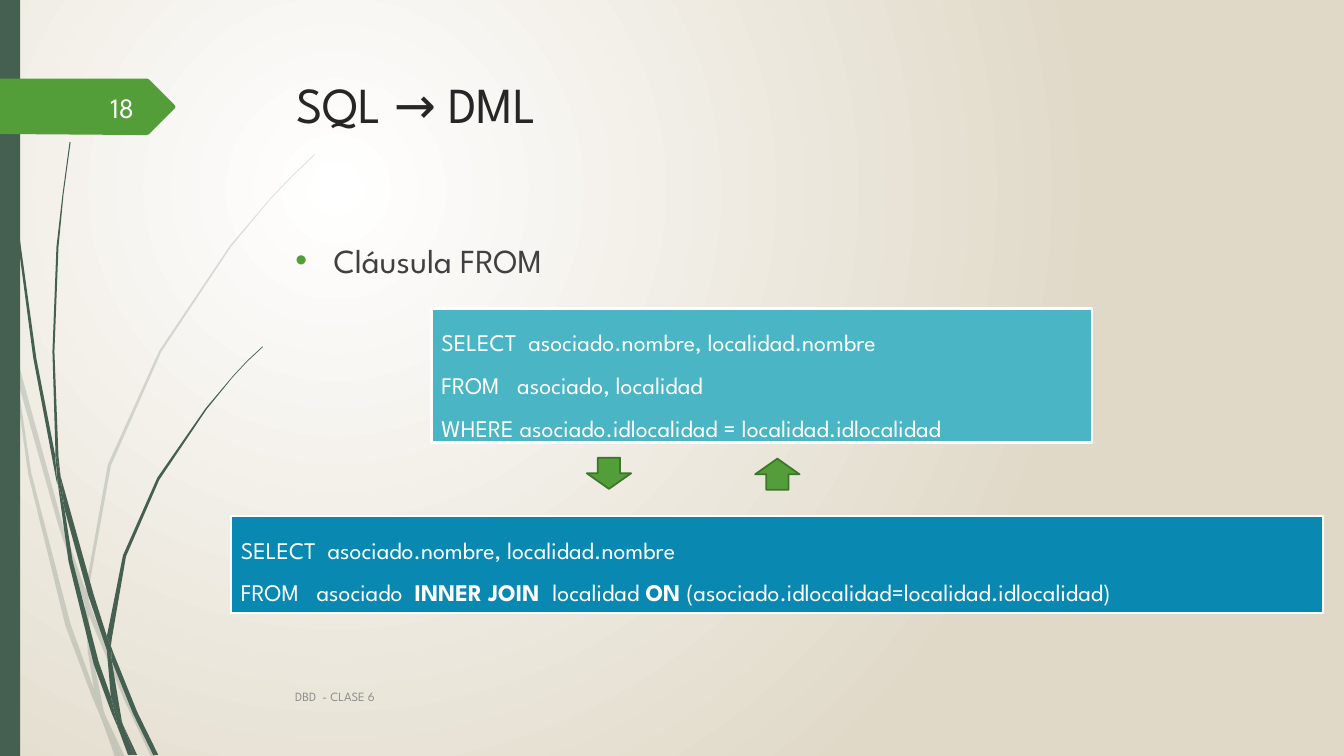
from collections import namedtuple
from pptx import Presentation
from pptx.dml.color import RGBColor
from pptx.enum.shapes import MSO_SHAPE
from pptx.enum.text import MSO_ANCHOR, MSO_AUTO_SIZE, PP_ALIGN
from pptx.oxml import parse_xml
from pptx.oxml.ns import nsdecls, qn
from pptx.util import Pt

PX = 9144  # EMU in one px, 100 px to the inch
Box = namedtuple("Box", "left top width height")


class Theme:
    font = "League Spartan"
    paper, sand = "FFFFFF", "E0D9C8"
    stalk, accent, accent_line = "455F51", "549E39", "3E752A"
    title, body, footer, number = "262626", "404040", "8C8C8C", "FEFFFF"
    teal, blue, white = "4AB5C4", "0989B1", "FFFFFF"
    title_size, body_size, number_size, code_size, footer_size = 36, 24, 20, 17, 9


FAINT_BLADES = [
    [(11, 350), (9, 322), (0, 282), (0, 299), (10, 344)],
    [(58, 522), (84, 599), (85, 586), (62, 520), (14, 345), (17, 376)],
    [(92, 607), (88, 596), (88, 610), (123, 694), (150, 751), (155, 751), (127, 692)],
    [(119, 751), (124, 751), (105, 711)],
    [(93, 683), (70, 619), (31, 469), (17, 376), (11, 350), (28, 470), (65, 621),
     (92, 693), (101, 714), (99, 707)],
    [(84, 599), (87, 646), (93, 683), (96, 692), (105, 711), (103, 706), (91, 646),
     (88, 610), (88, 608)],
    [(88, 584), (110, 462), (160, 349), (229, 245), (268, 198), (290, 175), (312, 154),
     (312, 153), (289, 175), (268, 197), (228, 244), (158, 348), (107, 461), (85, 584),
     (85, 586), (88, 596)],
    [(101, 714), (114, 751), (119, 751)],
    [(88, 608), (88, 610), (88, 596), (85, 586), (84, 599)],
    [(96, 692), (93, 683), (99, 707), (101, 714), (119, 751), (105, 711)],
]
DARK_BLADES = [
    [(7, 110), (17, 233), (33, 355), (56, 477), (57, 481), (55, 457), (55, 453),
     (36, 355), (19, 232), (8, 109), (5, 48), (4, 0), (3, 0), (4, 48)],
    [(88, 592), (106, 645), (106, 633), (106, 631), (93, 590), (60, 472), (64, 505)],
    [(113, 649), (110, 641), (111, 656), (132, 708), (152, 749), (157, 749), (136, 706)],
    [(110, 691), (98, 657), (72, 556), (64, 505), (57, 477), (68, 557), (93, 659),
     (111, 708), (117, 722), (116, 717)],
    [(60, 472), (58, 453), (54, 349), (58, 245), (63, 193), (70, 141), (69, 141),
     (62, 193), (56, 245), (52, 349), (55, 449)],
    [(133, 749), (136, 749), (122, 719)],
    [(57, 477), (64, 505), (60, 472), (55, 449), (55, 453)],
    [(111, 633), (125, 552), (158, 476), (205, 406), (231, 374), (245, 359), (261, 344),
     (260, 344), (245, 358), (231, 373), (204, 405), (156, 474), (122, 551), (106, 631),
     (110, 641)],
    [(117, 722), (127, 749), (131, 749)],
    [(106, 645), (110, 691), (116, 706), (122, 719), (121, 716), (111, 656), (109, 651)],
    [(106, 645), (109, 651), (111, 656), (110, 641), (106, 631), (106, 633)],
    [(116, 706), (110, 691), (116, 717), (117, 722), (130, 749), (133, 749), (122, 719)],
]
TAG_OUTLINE = [(173, 30), (148, 55), (146, 56), (136, 56), (0, 55), (0, 0), (146, 0),
               (148, 1), (173, 26), (174, 28)]


def color(value):
    return RGBColor.from_string(value)


def place(shape, box):
    shape.left, shape.top, shape.width, shape.height = (length * PX for length in box)


def paint(shape, fill, line=None, line_width=0):
    shape.shadow.inherit = False
    shape.fill.solid()
    shape.fill.fore_color.rgb = color(fill)
    if line:
        shape.line.color.rgb = color(line)
        shape.line.width = Pt(line_width)
    else:
        shape.line.fill.background()


def add_preset(slide, kind, box, fill, line=None, line_width=0):
    shape = slide.shapes.add_shape(kind, *(length * PX for length in box))
    paint(shape, fill, line, line_width)
    return shape


def add_outline(shapes, box, points, fill):
    (start_x, start_y), *rest = [(box.left + x, box.top + y) for x, y in points]
    builder = shapes.build_freeform(start_x, start_y, scale=float(PX))
    builder.add_line_segments(rest, close=True)
    shape = builder.convert_to_shape()
    paint(shape, fill)
    return shape


def format_runs(paragraph, size, ink, align=PP_ALIGN.LEFT):
    paragraph.alignment = align
    for run in paragraph.runs:
        run.font.name = Theme.font
        run.font.size = Pt(size)
        run.font.color.rgb = color(ink)


def set_background(slide):
    fill = slide.background.fill
    fill.gradient()
    for stop, value in zip(fill.gradient_stops, (Theme.paper, Theme.sand)):
        stop.color.rgb = color(value)
    gradient = next(slide.element.iter(qn("a:gradFill")))
    gradient.replace(gradient.find(qn("a:lin")), parse_xml(
        f'<a:path {nsdecls("a")} path="circle">'
        '<a:fillToRect l="50000" t="50000" r="100000" b="100000"/></a:path>'))


def draw_stalks(slide, box):
    for blades, opacity in ((FAINT_BLADES, 20), (DARK_BLADES, 100)):
        group = slide.shapes.add_group_shape()
        for points in blades:
            blade = add_outline(group.shapes, box, points, Theme.stalk)
            if opacity < 100:
                next(blade.element.iter(qn("a:srgbClr"))).append(
                    parse_xml(f'<a:alpha {nsdecls("a")} val="{opacity * 1000}"/>'))
    add_preset(slide, MSO_SHAPE.RECTANGLE, box._replace(width=20), Theme.stalk)


def add_label(slide, box, text, size, ink, align=PP_ALIGN.LEFT):
    label = slide.shapes.add_textbox(*(length * PX for length in box))
    frame = label.text_frame
    frame.word_wrap = True
    frame.vertical_anchor = MSO_ANCHOR.MIDDLE
    frame.text = text
    format_runs(frame.paragraphs[0], size, ink, align)


def draw_number_tag(slide, box, number):
    add_outline(slide.shapes, box, TAG_OUTLINE, Theme.accent)
    add_label(slide, Box(box.left + 58, box.top + 8, 85, 40), number,
              Theme.number_size, Theme.number, PP_ALIGN.RIGHT)


def fill_placeholder(shape, box, text, size, ink):
    """Moves the placeholder in front of the decoration and sets its text."""
    shape.element.getparent().append(shape.element)
    place(shape, box)
    frame = shape.text_frame
    frame.auto_size = MSO_AUTO_SIZE.NONE
    frame.vertical_anchor = MSO_ANCHOR.TOP
    frame.text = text
    paragraph = frame.paragraphs[0]
    format_runs(paragraph, size, ink)
    return paragraph


def add_bullet(paragraph, indent):
    paragraph.space_before = Pt(10)
    properties = paragraph._p.get_or_add_pPr()
    properties.set("marL", str(indent * PX))
    properties.set("indent", str(-indent * PX))
    for xml in (f'<a:buClr {nsdecls("a")}><a:srgbClr val="{Theme.accent}"/></a:buClr>',
                f'<a:buFont {nsdecls("a")} typeface="Arial"/>',
                f'<a:buChar {nsdecls("a")} char="•"/>'):
        properties.append(parse_xml(xml))


def draw_query(slide, box, fill, lines):
    """Each line is a tuple of pieces, plain and bold by turns."""
    panel = add_preset(slide, MSO_SHAPE.RECTANGLE, box, fill, Theme.white, 1.75)
    frame = panel.text_frame
    frame.word_wrap = True
    frame.auto_size = MSO_AUTO_SIZE.SHAPE_TO_FIT_TEXT
    frame.vertical_anchor = MSO_ANCHOR.TOP
    for index, pieces in enumerate(lines):
        paragraph = frame.add_paragraph() if index else frame.paragraphs[0]
        paragraph.line_spacing = 1.5
        for turn, piece in enumerate(pieces):
            run = paragraph.add_run()
            run.text = piece
            run.font.bold = turn % 2 == 1
        format_runs(paragraph, Theme.code_size, Theme.white)


def draw_equivalence(slide, box):
    select = ("SELECT  asociado.nombre, localidad.nombre",)
    draw_query(slide, Box(box.left + 199, box.top, 655, 133), Theme.teal, [
        select, ("FROM   asociado, localidad",),
        ("WHERE asociado.idlocalidad = localidad.idlocalidad",)])
    draw_query(slide, Box(box.left, box.top + 206, box.width, 96), Theme.blue, [
        select, ("FROM   asociado  ", "INNER JOIN  ", "localidad ", "ON",
                 " (asociado.idlocalidad=localidad.idlocalidad)")])
    for x, y, rotation in ((353, 148, 0), (520, 149, 180)):
        arrow = add_preset(slide, MSO_SHAPE.DOWN_ARROW,
                           Box(box.left + x, box.top + y, 44, 31),
                           Theme.accent, Theme.accent_line, 1.25)
        arrow.rotation = rotation


def main():
    presentation = Presentation()
    presentation.slide_width, presentation.slide_height = 1333 * PX, 750 * PX
    slide = presentation.slides.add_slide(presentation.slide_layouts[1])
    title, body = slide.placeholders
    set_background(slide)
    draw_stalks(slide, Box(0, 0, 312, 750))
    draw_number_tag(slide, Box(0, 78, 174, 56), "18")
    fill_placeholder(title, Box(284, 68, 975, 140), "SQL → DML",
                     Theme.title_size, Theme.title)
    clause = fill_placeholder(body, Box(283, 233, 975, 413), "Cláusula FROM",
                              Theme.body_size, Theme.body)
    add_bullet(clause, 38)
    add_label(slide, Box(283, 671, 833, 40), "DBD  - CLASE 6",
              Theme.footer_size, Theme.footer)
    draw_equivalence(slide, Box(229, 306, 1083, 302))
    presentation.save("out.pptx")


if __name__ == "__main__":
    main()
